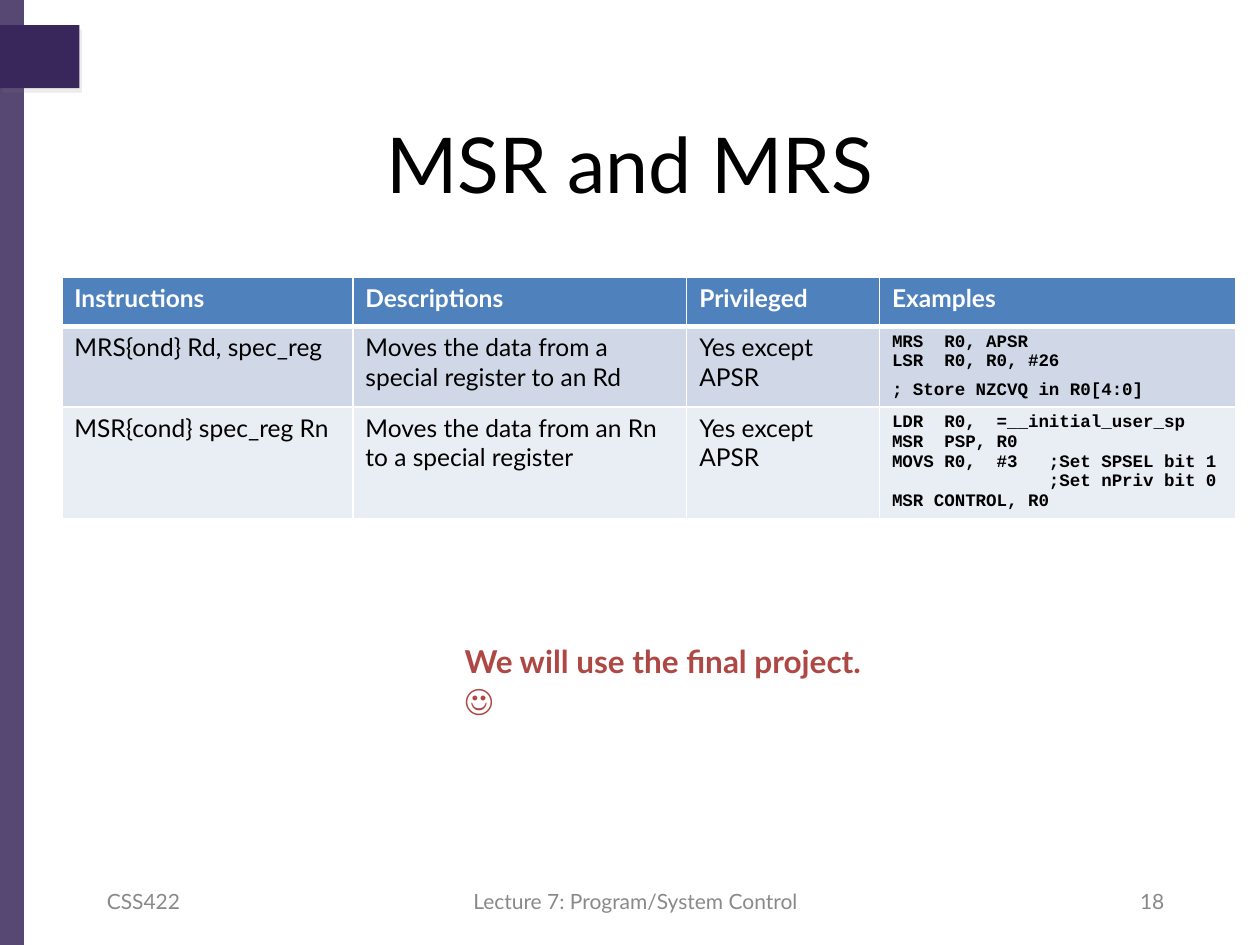
from dataclasses import dataclass

from lxml import etree
from pptx import Presentation
from pptx.dml.color import RGBColor
from pptx.enum import shapes, text
from pptx.oxml import ns
from pptx import util as u

SANS, MONO = "Lato", "Courier New"
PURPLE, WHITE, BLACK, GREY = "39275B", "FFFFFF", "000000", "898989"
LEFT, MID, RIGHT = text.PP_ALIGN.LEFT, text.PP_ALIGN.CENTER, text.PP_ALIGN.RIGHT


@dataclass
class Style:
    size: float
    color: str = BLACK
    bold: bool = False
    font: str = SANS


@dataclass
class Note:
    words: str
    box: tuple
    style: Style
    align: int = LEFT
    anchor: int = text.MSO_ANCHOR.MIDDLE


def rgb(code: str) -> RGBColor:
    return RGBColor.from_string(code)


def sub(parent, tag: str, **attrs):
    return etree.SubElement(parent, ns.qn(tag), attrs)


def place(shape, box: tuple) -> None:
    shape.left, shape.top, shape.width, shape.height = map(u.Inches, box)


def write(frame, lines: list, style: Style, align: int = LEFT) -> None:
    for i, line in enumerate(lines):
        para = frame.paragraphs[0] if i == 0 else frame.add_paragraph()
        para.alignment = align
        run = para.add_run()
        run.text = line
        font = run.font
        font.name, font.size, font.bold = style.font, u.Pt(style.size), style.bold
        font.color.rgb = rgb(style.color)


def bar(slide, box: tuple):
    shape = slide.shapes.add_shape(shapes.MSO_SHAPE.RECTANGLE, *map(u.Inches, box))
    shape.shadow.inherit = False
    shape.fill.solid()
    shape.fill.fore_color.rgb = rgb(PURPLE)
    shape.line.fill.background()
    return shape


def add_note(slide, note: Note) -> None:
    frame = slide.shapes.add_textbox(*map(u.Inches, note.box)).text_frame
    frame.word_wrap = True
    frame.vertical_anchor = note.anchor
    write(frame, [note.words], note.style, note.align)


def edge(cell, base: float) -> None:
    props = cell._tc.get_or_add_tcPr()
    for side, width in zip("LRTB", (1, 1, 1, base)):
        line = sub(props, f"a:ln{side}", w=str(u.Pt(width)))
        sub(sub(line, "a:solidFill"), "a:srgbClr", val=WHITE)


HEAD = Style(14, WHITE, True)
BODY = Style(14)
CODE = Style(10, BLACK, True, MONO)
FOOT = Style(12, GREY)

COLS = (2.31, 2.65, 1.53, 2.83)
ROWS = (0.39, 0.64, 0.89)
FILLS = ("4F81BD", "D0D8E8", "E9EDF4")
CELLS = (
    ("Instructions", "Descriptions", "Privileged", "Examples"),
    ("MRS{ond} Rd, spec_reg", "Moves the data from a special register to an Rd",
     "Yes except APSR",
     "MRS  R0, APSR\nLSR  R0, R0, #26\n; Store NZCVQ in R0[4:0]"),
    ("MSR{cond} spec_reg Rn", "Moves the data from an Rn to a special register",
     "Yes except APSR",
     "LDR  R0,  =__initial_user_sp\nMSR  PSP, R0\n"
     "MOVS R0,  #3   ;Set SPSEL bit 1\n"
     "               ;Set nPriv bit 0\nMSR CONTROL, R0"),
)
NOTES = (
    Note("CSS422", (0.75, 6.95, 2.33, 0.4), FOOT),
    Note("Lecture 7: Program/System Control", (3.46, 6.95, 3.17, 0.4), FOOT, MID),
    Note("18", (7.01, 6.95, 2.33, 0.4), FOOT, RIGHT),
    Note("We will use the final project. ☺", (3.59, 5.05, 3.46, 0.4),
         Style(18, "AE4845", True), anchor=text.MSO_ANCHOR.TOP),
)


def add_grid(slide) -> None:
    frame = slide.shapes.add_table(len(ROWS), len(COLS), *map(
        u.Inches, (0.49, 2.2, sum(COLS), sum(ROWS))))
    table = frame.table
    for col, width in zip(table.columns, COLS):
        col.width = u.Inches(width)
    for r, (height, fill) in enumerate(zip(ROWS, FILLS)):
        table.rows[r].height = u.Inches(height)
        for c, words in enumerate(CELLS[r]):
            cell = table.cell(r, c)
            edge(cell, 3 if r == 0 else 1)
            cell.fill.solid()
            cell.fill.fore_color.rgb = rgb(fill)
            style = HEAD if r == 0 else CODE if c == 3 else BODY
            write(cell.text_frame, words.split("\n"), style)
    # Set the code comment apart from its instructions
    table.cell(1, 3).text_frame.paragraphs[2].space_before = u.Pt(5)


def main() -> None:
    deck = Presentation()
    deck.slide_width, deck.slide_height = u.Inches(10), u.Inches(7.5)
    slide = deck.slides.add_slide(deck.slide_layouts[5])

    # Side band and tab
    band = bar(slide, (0, 0, 0.19, 7.5))
    tint = band._element.spPr.find(".//" + ns.qn("a:srgbClr"))
    sub(tint, "a:alpha", val="85000")
    tab = bar(slide, (0, 0.2, 0.63, 0.5))
    glow = tab._element.spPr.find(ns.qn("a:effectLst"))
    shade = sub(glow, "a:outerShdw", dist=str(u.Pt(3)), dir=str(60 * 60000))
    sub(sub(shade, "a:srgbClr", val="808080"), "a:alpha", val="15000")

    # Title
    title = slide.shapes.title
    place(title, (0.5, 0.83, 9, 0.92))
    title.text_frame.vertical_anchor = text.MSO_ANCHOR.MIDDLE
    write(title.text_frame, ["MSR and MRS"], Style(44), MID)

    # Table, remark and footer
    add_grid(slide)
    for note in NOTES:
        add_note(slide, note)

    deck.save("out.pptx")


if __name__ == "__main__":
    main()
